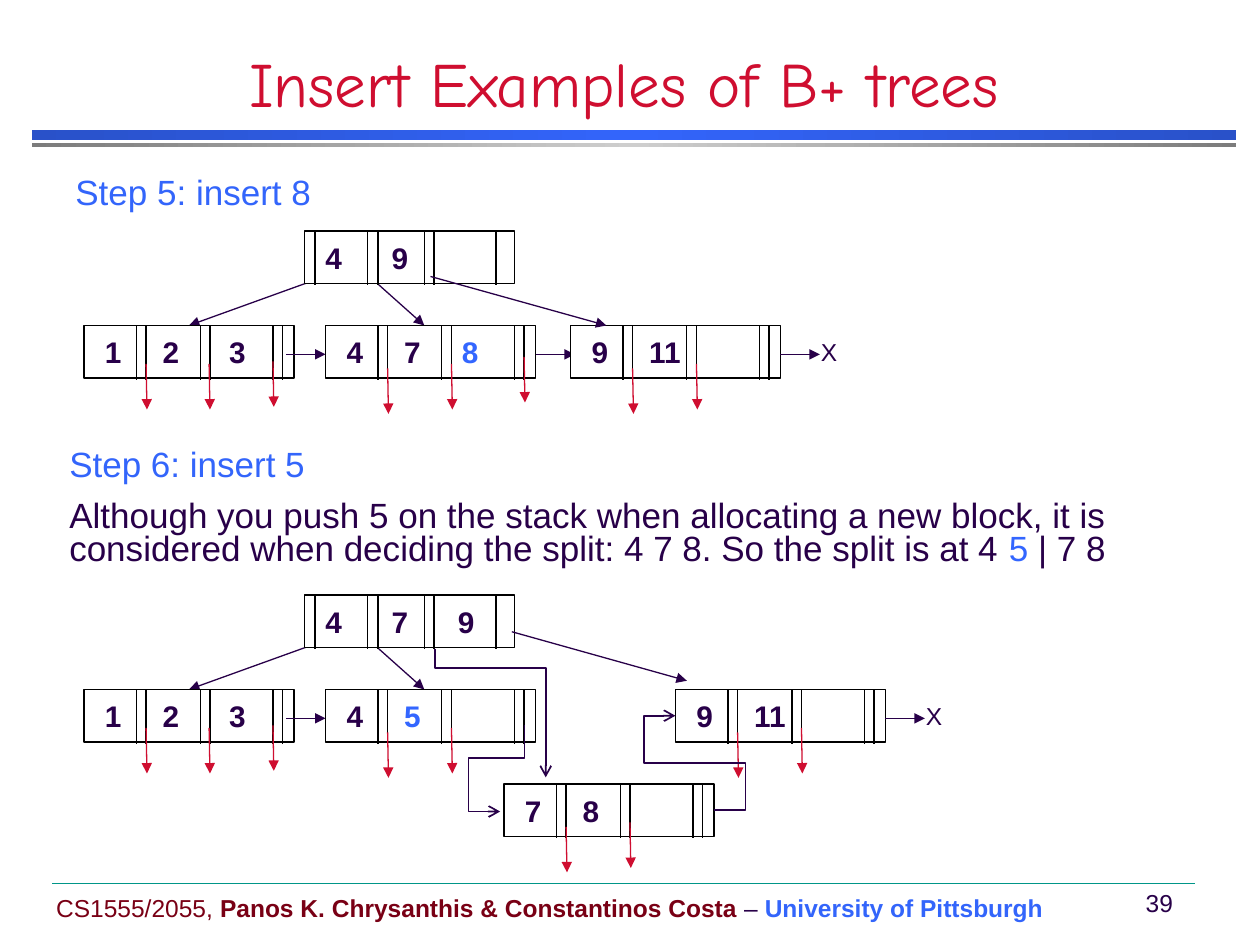
from copy import deepcopy

from lxml import etree
from pptx import Presentation
from pptx import util as u
from pptx.dml.color import RGBColor
from pptx.enum import shapes, text
from pptx.oxml.ns import qn

HUES = {
    "ink": "280049", "red": "CF0E30", "blue": "3365FB", "new": "3366FF",
    "maroon": "790015", "teal": "009688", "black": "000000", "white": "FFFFFF",
    "navy": "2951C9", "gray": "7C7C7C", "silver": "CECECE",
}
NODE_W, NODE_H = 120, 30
LEAF_DY = 54                                # from root top to leaf top
ROOT_CUTS = (6, 36, 42, 68.5, 74, 109.5)
LEAF_CUTS = (30, 35.5, 66.5, 72, 108, 113.5)
ROOT_TABS = (37.8, 75.6)
WIDE_TABS = (33, 71)
LEAF_TABS = (33, 66)
PAIR = ((35.5, 24.5), (72, 22))             # record pointers: offsets in a leaf
TRIO = ((35.5, 22), (71.5, 22), (108, 20.5))


def hue(name):
    return RGBColor.from_string(HUES[name])


def write(para, parts, size, font="Arial"):
    """Add runs given as (words, colour, bold)."""
    for words, color, bold in parts:
        run = para.add_run()
        run.text = words
        run.font.name, run.font.size, run.font.bold = font, u.Pt(size), bold
        run.font.color.rgb = hue(color)


def label(canvas, box, lines, size, wrap=True, space=None, top=3.6,
          anchor=text.MSO_ANCHOR.TOP, align=None):
    item = canvas.add_textbox(*map(u.Pt, box))
    frame = item.text_frame
    frame.word_wrap, frame.vertical_anchor = wrap, anchor
    frame.margin_top = u.Pt(top)
    for i, parts in enumerate(lines):
        para = frame.add_paragraph() if i else frame.paragraphs[0]
        para.alignment, para.line_spacing = align, space
        if i:
            para.space_before = u.Pt(10)
        write(para, parts, size)


def line(canvas, start, end, color="ink", width=0.75, head=None,
         kind=shapes.MSO_CONNECTOR.STRAIGHT):
    item = canvas.add_connector(kind, *map(u.Pt, (*start, *end)))
    item.line.color.rgb, item.line.width = hue(color), u.Pt(width)
    if head:
        etree.SubElement(item.line._get_or_add_ln(), qn("a:tailEnd"), type=head)
    etree.SubElement(item._element.spPr, qn("a:effectLst"))
    return item


def arrow(canvas, start, end, color="ink"):
    line(canvas, start, end, color, head="triangle")


def elbow(canvas, start, end, bends, turn=0):
    """Bent arrow; start and end are given before the turn in degrees."""
    item = line(canvas, start, end, width=1, head="arrow",
                kind=shapes.MSO_CONNECTOR.ELBOW)
    item._element.spPr.find(qn("a:xfrm")).set("rot", str(turn * 60000))
    geom = item._element.spPr.find(qn("a:prstGeom"))
    geom.set("prst", f"bentConnector{len(bends) + 2}")
    guides = geom.find(qn("a:avLst"))
    if guides is None:
        guides = etree.SubElement(geom, qn("a:avLst"))
    for i, bend in enumerate(bends, 1):
        etree.SubElement(guides, qn("a:gd"), name=f"adj{i}",
                         fmla=f"val {round(bend * 100000)}")


def node(canvas, x, y, keys, cuts, tabs, fresh=None):
    """Tree block with its keys and the dividers between its fields."""
    item = canvas.add_shape(shapes.MSO_SHAPE.RECTANGLE,
                            *map(u.Pt, (x, y, NODE_W, NODE_H)))
    item.shadow.inherit = False
    item.fill.solid()
    item.fill.fore_color.rgb = hue("white")
    item.line.color.rgb, item.line.width = hue("black"), u.Pt(0.75)
    frame = item.text_frame
    frame.margin_left, frame.margin_right = u.Pt(12), 0
    frame.vertical_anchor = text.MSO_ANCHOR.MIDDLE
    para = frame.paragraphs[0]
    para.alignment = text.PP_ALIGN.LEFT
    stops = etree.SubElement(para._p.get_or_add_pPr(), qn("a:tabLst"))
    for tab in tabs:
        etree.SubElement(stops, qn("a:tab"), pos=str(u.Pt(tab)), algn="l")
    write(para, [("\t" * (i > 0) + key, "new" if key == fresh else "ink", True)
                 for i, key in enumerate(keys)], 17)
    for cut in cuts:
        line(canvas, (x + cut, y), (x + cut, y + 31), "black")


def leaf(canvas, x, y, keys, drops=PAIR, tabs=LEAF_TABS, fresh=None):
    node(canvas, x, y, keys, LEAF_CUTS, tabs, fresh)
    for dx, dy in drops:
        arrow(canvas, (x + dx, y + dy), (x + dx + 0.5, y + dy + 26), "red")


def follow(canvas, x, y):
    """Arrow to the next leaf."""
    arrow(canvas, (x, y + 16.5), (x + 22.5, y + 16.5))


def last(canvas, x, y):
    """Final leaf of the chain, closed with an X."""
    leaf(canvas, x, y, ("9", "11"))
    label(canvas, (x + 136, y + 5, 24, 23), [[("X", "ink", False)]], 14,
          wrap=False, space=0.9)
    follow(canvas, x + NODE_W, y)


def trunk(canvas, y, keys):
    """Root, first leaf and the links shared by both trees."""
    arrow(canvas, (180, y + 28), (108, y + LEAF_DY))
    arrow(canvas, (210, y + 25), (242.5, y + LEAF_DY))
    leaf(canvas, 48, y + LEAF_DY, ("1", "2", "3"), TRIO, WIDE_TABS)
    follow(canvas, 163.5, y + LEAF_DY)
    node(canvas, 174, y, keys, ROOT_CUTS, ROOT_TABS)


def before(canvas):
    """Tree after step 5."""
    top, low = 132, 132 + LEAF_DY
    trunk(canvas, top, ("4", "9"))
    leaf(canvas, 186, low, ("4", "7", "8"), PAIR + ((113.5, 18),), fresh="8")
    follow(canvas, 306, low)
    last(canvas, 326, low)
    arrow(canvas, (246, top + 26), (346.5, low))


def after(canvas):
    """Tree after step 6, with the split leaf below."""
    top, low = 340, 340 + LEAF_DY
    trunk(canvas, top, ("4", "7", "9"))
    leaf(canvas, 186, low, ("4", "5"), fresh="5")
    last(canvas, 386, low)
    arrow(canvas, (292.5, top + 21), (392.5, top + 49))
    leaf(canvas, 288, low + LEAF_DY, ("7", "8"))
    elbow(canvas, (408, 463), (386, 409), (-0.82, 0.5, 1.82))
    elbow(canvas, (268, 432), (317.5, 446), (0.38, 2.29), 90)
    elbow(canvas, (316.8, 375.8), (243.4, 439.2), (0.15,), 270)


def band(canvas, y, high, edge, mid):
    item = canvas.add_shape(shapes.MSO_SHAPE.RECTANGLE,
                            *map(u.Pt, (18, y, 688.5, high)))
    item.shadow.inherit = False
    item.line.fill.background()
    item.fill.gradient()
    item.fill.gradient_angle = 0
    stops = item._element.spPr.find(qn("a:gradFill")).find(qn("a:gsLst"))
    stops.append(deepcopy(stops[0]))
    for stop, place, color in zip(item.fill.gradient_stops, (0, 0.5, 1),
                                  (edge, mid, edge)):
        stop.position, stop.color.rgb = place, hue(color)


def title(slide, words):
    item = slide.shapes.title
    item.left, item.top, item.width, item.height = map(u.Pt, (0, 30, 713, 42))
    frame = item.text_frame
    frame.text = words
    frame.auto_size = text.MSO_AUTO_SIZE.NONE
    frame.vertical_anchor = text.MSO_ANCHOR.BOTTOM
    para = frame.paragraphs[0]
    para.alignment = text.PP_ALIGN.CENTER
    font = para.runs[0].font
    font.name, font.size, font.color.rgb = "Comic Neue", u.Pt(36), hue("red")


def main():
    deck = Presentation()
    deck.slide_width, deck.slide_height = u.Pt(720), u.Pt(540)
    slide = deck.slides.add_slide(deck.slide_layouts[5])
    canvas = slide.shapes

    # Header bands and footer
    band(canvas, 74.2, 5.8, "navy", "blue")
    band(canvas, 82, 2.2, "gray", "silver")
    label(canvas, (25, 489.5, 612, 41), [[
        ("CS1555/2055, ", "maroon", False),
        ("Panos K. Chrysanthis & Constantinos Costa", "maroon", True),
        (" – ", "ink", False), ("University of Pittsburgh", "blue", True)]],
        14, anchor=text.MSO_ANCHOR.BOTTOM)
    label(canvas, (645, 504, 35, 24), [[("39", "ink", False)]], 14, wrap=False,
          anchor=text.MSO_ANCHOR.MIDDLE, align=text.PP_ALIGN.CENTER)
    line(canvas, (30, 504.5), (683, 504.5), "teal", 0.25)

    # Title and steps
    title(slide, "Insert Examples of B+ trees")
    label(canvas, (36, 96, 642, 27), [[("Step 5: insert 8", "blue", False)]],
          20, space=0.8, top=5.8)
    label(canvas, (32.5, 251.5, 642, 78), [
        [("Step 6: insert 5", "blue", False)],
        [("Although you push 5 on the stack when allocating a new block, it is "
          "considered when deciding the split: 4 7 8. So the split is at 4 ",
          "ink", False), ("5", "new", False), (" | 7 8", "ink", False)]],
        20, space=0.8, top=5.8)

    # Trees
    before(canvas.add_group_shape().shapes)
    after(canvas.add_group_shape().shapes)
    deck.save("out.pptx")


if __name__ == "__main__":
    main()
